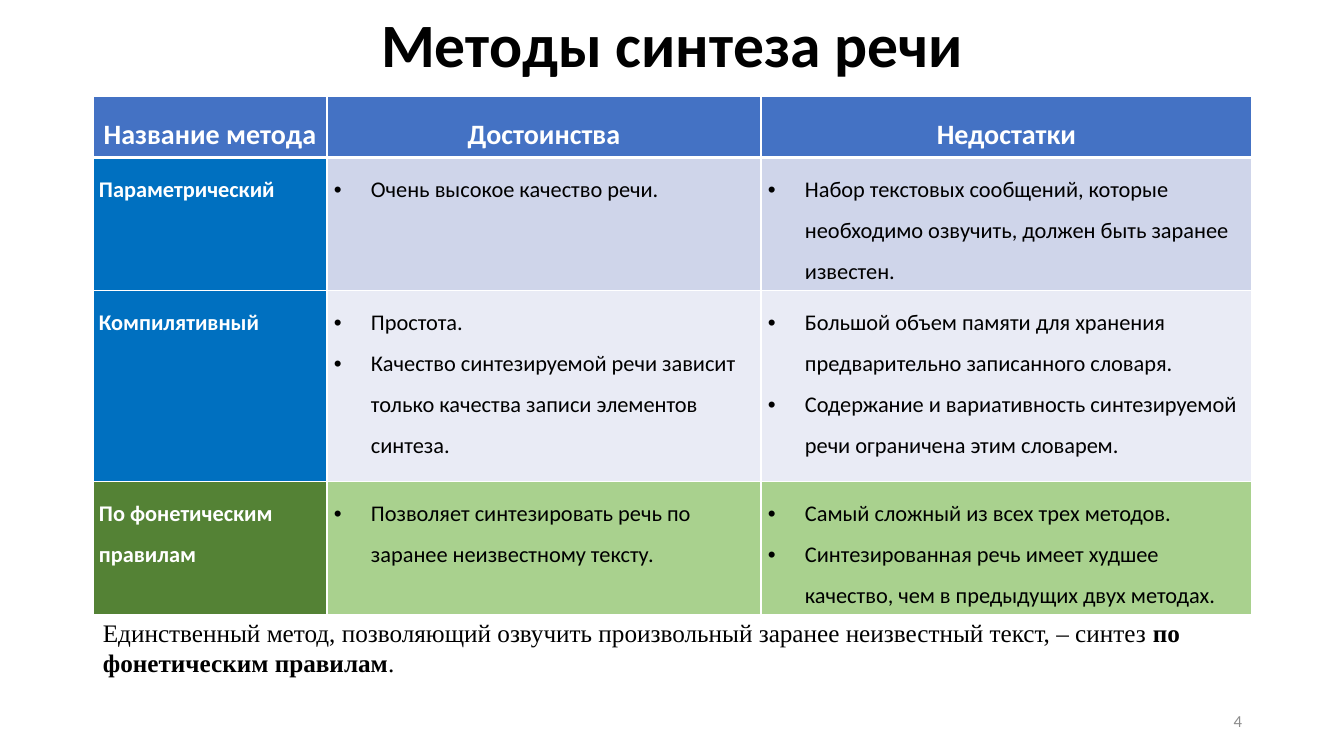
"""Build a slide comparing speech synthesis methods in a table."""
from lxml import etree
from pptx import Presentation
from pptx.dml.color import RGBColor
from pptx.enum import text as txt
from pptx.oxml import ns
from pptx.util import Pt

TITLE = "Методы синтеза речи"
HEADINGS = ["Название метода", "Достоинства", "Недостатки"]
METHODS = [
    ("Параметрический",
     ["Очень высокое качество речи."],
     ["Набор текстовых сообщений, которые необходимо озвучить, должен быть заранее известен."]),
    ("Компилятивный",
     ["Простота.",
      "Качество синтезируемой речи зависит только качества записи элементов синтеза."],
     ["Большой объем памяти для хранения предварительно записанного словаря.",
      "Содержание и вариативность синтезируемой речи ограничена этим словарем."]),
    ("По фонетическим правилам",
     ["Позволяет синтезировать речь по заранее неизвестному тексту."],
     ["Самый сложный из всех трех методов.",
      "Синтезированная речь имеет худшее качество, чем в предыдущих двух методах."]),
]
CONCLUSION = [
    ("Единственный метод, позволяющий озвучить произвольный заранее неизвестный текст, – синтез ", False),
    ("по фонетическим правилам", True),
    (".", False),
]
PAGE_NUMBER = "4"

COLORS = {
    "black": "000000", "white": "FFFFFF", "grey": "8C8C8C", "header": "4472C4",
    "blue": "0070C0", "band": "CFD5EA", "pale": "E9EBF5",
    "dark_green": "548235", "green": "A9D18E",
}
METHOD_FILLS = [("blue", "band"), ("blue", "pale"), ("dark_green", "green")]
COLUMN_WIDTHS = [234, 434, 491]
ROW_HEIGHTS = [46, 117, 191, 130]
LEFT, WIDTH = 93, 1159


def px(n):
    return round(n * 914400 / 100.8)


def place(shape, *box):
    shape.left, shape.top, shape.width, shape.height = map(px, box)


def style(paragraph, size, color, bold=False, font="Calibri"):
    for run in paragraph.runs:
        run.font.size, run.font.bold, run.font.name = Pt(size), bold, font
        run.font.color.rgb = RGBColor.from_string(COLORS[color])


def add_bullet(paragraph):
    props = paragraph._p.get_or_add_pPr()
    props.set("marL", str(px(38)))
    props.set("indent", str(px(-37)))
    color = etree.SubElement(props, ns.qn("a:buClr"))
    etree.SubElement(color, ns.qn("a:srgbClr"), val=COLORS["black"])
    etree.SubElement(props, ns.qn("a:buFont"), typeface="Arial")
    etree.SubElement(props, ns.qn("a:buChar"), char="•")


def add_borders(cell, top, bottom):
    props = cell._tc.get_or_add_tcPr()
    sides = [("a:lnL", 1), ("a:lnR", 1), ("a:lnT", top), ("a:lnB", bottom)]
    for position, (side, points) in enumerate(sides):
        line = etree.Element(ns.qn(side), w=str(Pt(points)))
        fill = etree.SubElement(line, ns.qn("a:solidFill"))
        etree.SubElement(fill, ns.qn("a:srgbClr"), val=COLORS["white"])
        props.insert(position, line)


def fill_cell(cell, lines, fill, size, color, bold, row, align=None, bullets=False):
    cell.margin_left = cell.margin_right = px(6)
    cell.margin_top = cell.margin_bottom = px(5)
    cell.fill.solid()
    cell.fill.fore_color.rgb = RGBColor.from_string(COLORS[fill])
    add_borders(cell, 3 if row == 1 else 1, 3 if row == 0 else 1)
    cell.text_frame.text = "\n".join(lines)
    for paragraph in cell.text_frame.paragraphs:
        paragraph.line_spacing = 1.5
        paragraph.alignment = align
        style(paragraph, size, color, bold)
        if bullets:
            add_bullet(paragraph)


def add_methods_table(slide):
    box = map(px, (LEFT, 96, WIDTH, sum(ROW_HEIGHTS)))
    table = slide.shapes.add_table(len(ROW_HEIGHTS), len(COLUMN_WIDTHS), *box).table
    for column, width in zip(table.columns, COLUMN_WIDTHS):
        column.width = px(width)
    for row, height in zip(table.rows, ROW_HEIGHTS):
        row.height = px(height)
    for col, heading in enumerate(HEADINGS):
        fill_cell(table.cell(0, col), [heading], "header", 20, "white", True, 0,
                  txt.PP_ALIGN.CENTER)
    for row, (method, fills) in enumerate(zip(METHODS, METHOD_FILLS), 1):
        name, *qualities = method
        fill_cell(table.cell(row, 0), [name], fills[0], 16, "white", True, row)
        for col, points in enumerate(qualities, 1):
            fill_cell(table.cell(row, col), points, fills[1], 16, "black", False, row,
                      bullets=True)


def main():
    deck = Presentation()
    deck.slide_width, deck.slide_height = px(1344), px(756)
    slide = deck.slides.add_slide(deck.slide_layouts[5])

    title = slide.shapes.title
    place(title, LEFT, 0, WIDTH, 96)
    title.text_frame.text = TITLE
    title.text_frame.vertical_anchor = txt.MSO_ANCHOR.MIDDLE
    heading = title.text_frame.paragraphs[0]
    heading.alignment, heading.line_spacing = txt.PP_ALIGN.CENTER, 0.9
    style(heading, 44, "black", True)

    add_methods_table(slide)

    number = slide.shapes.add_textbox(*map(px, (950, 701, 302, 40))).text_frame
    number.text = PAGE_NUMBER
    number.word_wrap = True
    number.vertical_anchor = txt.MSO_ANCHOR.MIDDLE
    number.paragraphs[0].alignment = txt.PP_ALIGN.RIGHT
    style(number.paragraphs[0], 12, "grey")

    conclusion = slide.shapes.add_textbox(*map(px, (LEFT, 612, WIDTH, 72))).text_frame
    conclusion.word_wrap = True
    statement = conclusion.paragraphs[0]
    for words, _ in CONCLUSION:
        statement.add_run().text = words
    style(statement, 18, "black", font="Times New Roman")
    for run, (_, bold) in zip(statement.runs, CONCLUSION):
        run.font.bold = bold

    deck.save("out.pptx")


if __name__ == "__main__":
    main()
